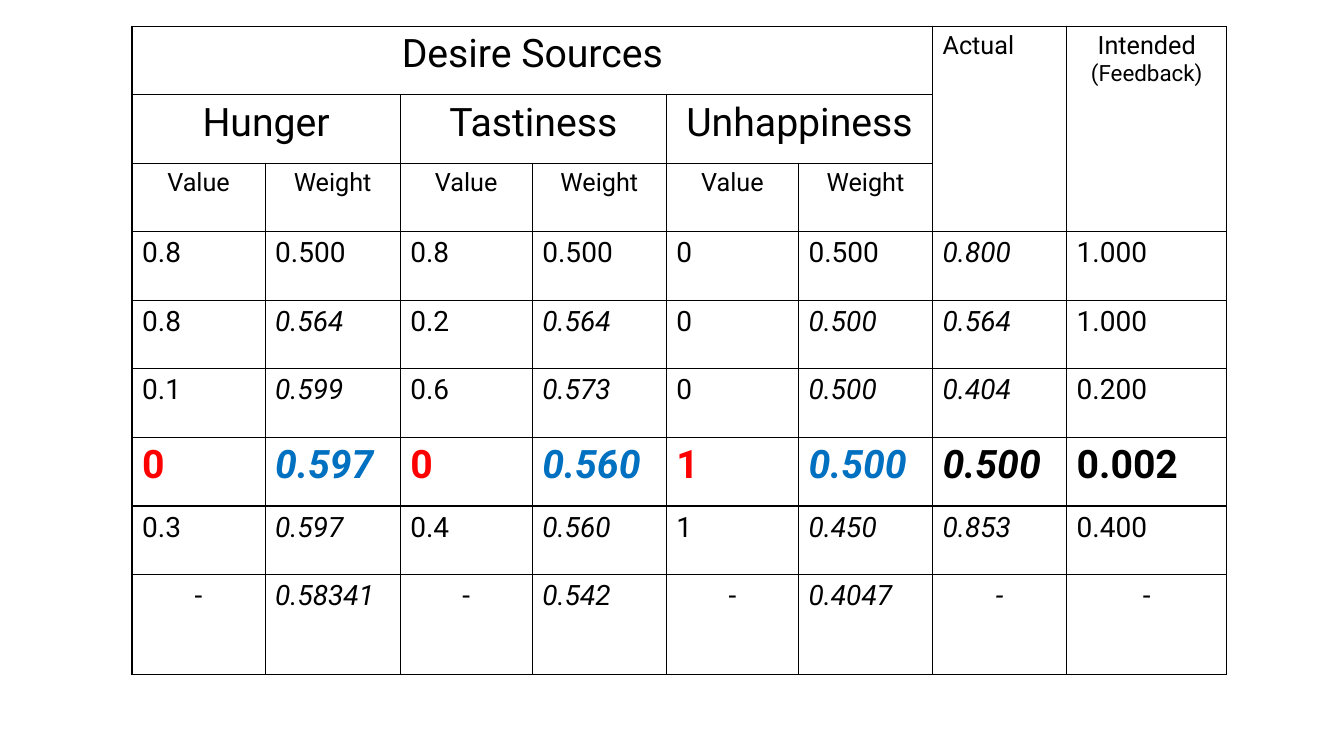
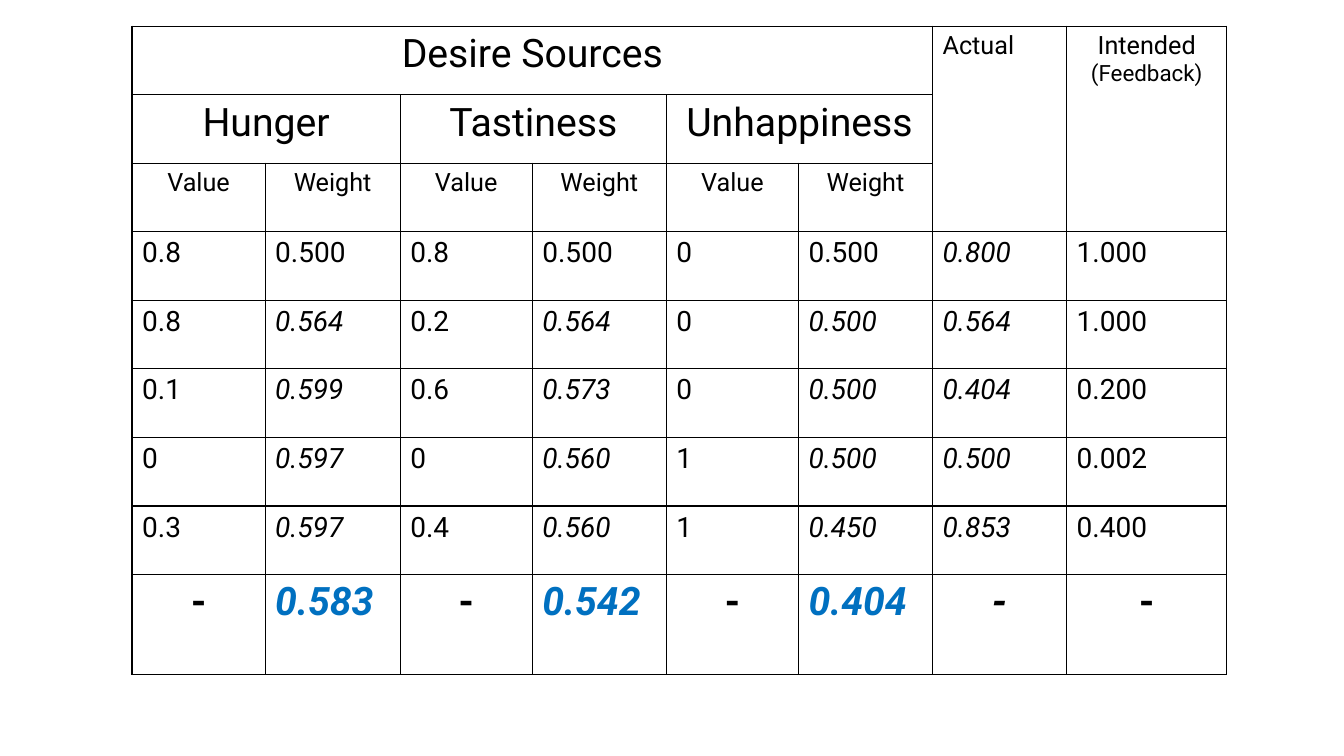
from dataclasses import dataclass

from lxml.etree import SubElement
from pptx import Presentation
from pptx.dml.color import RGBColor
from pptx.enum.text import PP_ALIGN
from pptx.oxml.ns import qn
from pptx.util import Inches, Pt


@dataclass(frozen=True)
class Theme:
    font: str = "Roboto"
    ink: str = "000000"
    value_accent: str = "FF0000"
    weight_accent: str = "0070C0"
    heading: int = 28
    label: int = 18
    small_label: int = 16
    body: int = 20
    emphasis: int = 28
    border: int = 1


THEME = Theme()

SLIDE_SIZE = (13.33, 7.5)
TABLE_ORIGIN = (1.31, 0.26)
COLUMN_WIDTHS = (1.32, 1.34, 1.31, 1.33, 1.31, 1.33, 1.33, 1.59)
ROW_HEIGHTS = (0.68,) * 8 + (0.99,)

SOURCES = ("Hunger", "Tastiness", "Unhappiness")
SOURCE_COLUMNS = 2 * len(SOURCES)
ACTUAL, INTENDED = SOURCE_COLUMNS, SOURCE_COLUMNS + 1
HEADER_ROWS = 3

STEPS = (
    ("0.8", "0.500", "0.8", "0.500", "0", "0.500", "0.800", "1.000"),
    ("0.8", "0.564", "0.2", "0.564", "0", "0.500", "0.564", "1.000"),
    ("0.1", "0.599", "0.6", "0.573", "0", "0.500", "0.404", "0.200"),
    ("0", "0.597", "0", "0.560", "1", "0.500", "0.500", "0.002"),
    ("0.3", "0.597", "0.4", "0.560", "1", "0.450", "0.853", "0.400"),
)
CONFLICT_STEP = 3
FINAL_STEP = len(STEPS)


def final_step(*weights):
    """Return the closing row, where only the weights are known."""
    cells = ["-"] * len(COLUMN_WIDTHS)
    cells[1:SOURCE_COLUMNS:2] = weights
    return tuple(cells)


def write_cell(cell, text, size, centred=False, bold=False, italic=False, color=THEME.ink):
    cell.text_frame.text = text
    for paragraph in cell.text_frame.paragraphs:
        paragraph.alignment = PP_ALIGN.CENTER if centred else PP_ALIGN.LEFT
        for run in paragraph.runs:
            font = run.font
            font.name, font.size = THEME.font, Pt(size)
            font.bold, font.italic = bold, italic
            font.color.rgb = RGBColor.from_string(color)


def style_cell(cell):
    """Give a cell four solid borders and no fill."""
    properties = cell._tc.get_or_add_tcPr()
    for side in ("a:lnL", "a:lnR", "a:lnT", "a:lnB"):
        line = SubElement(properties, qn(side), w=str(Pt(THEME.border)))
        fill = SubElement(line, qn("a:solidFill"))
        SubElement(fill, qn("a:srgbClr"), val=THEME.ink)
    cell.fill.background()


def add_grid(slide):
    left, top = TABLE_ORIGIN
    frame = slide.shapes.add_table(
        len(ROW_HEIGHTS), len(COLUMN_WIDTHS), Inches(left), Inches(top),
        Inches(sum(COLUMN_WIDTHS)), Inches(sum(ROW_HEIGHTS)))
    table = frame.table
    table.first_row = table.horz_banding = False
    for column, width in zip(table.columns, COLUMN_WIDTHS):
        column.width = Inches(width)
    for row, height in zip(table.rows, ROW_HEIGHTS):
        row.height = Inches(height)
    for cell in table.iter_cells():
        style_cell(cell)
    return table


def write_header(table):
    def merged(first, last):
        table.cell(*first).merge(table.cell(*last))
        return table.cell(*first)

    write_cell(merged((0, 0), (0, SOURCE_COLUMNS - 1)), "Desire Sources",
               THEME.heading, centred=True)
    for index, source in enumerate(SOURCES):
        column = 2 * index
        write_cell(merged((1, column), (1, column + 1)), source, THEME.heading, centred=True)
        for offset, label in enumerate(("Value", "Weight")):
            write_cell(table.cell(2, column + offset), label, THEME.label, centred=True)

    last_header = HEADER_ROWS - 1
    write_cell(merged((0, ACTUAL), (last_header, ACTUAL)), "Actual", THEME.label)
    intended = merged((0, INTENDED), (last_header, INTENDED))
    write_cell(intended, "Intended\n(Feedback)", THEME.label, centred=True)
    intended.text_frame.paragraphs[1].runs[0].font.size = Pt(THEME.small_label)


def accent_color(column, text):
    if column >= SOURCE_COLUMNS or text == "-":
        return THEME.ink
    return THEME.weight_accent if column % 2 else THEME.value_accent


def write_step(table, step, texts, emphasised):
    for column, text in enumerate(texts):
        is_weight = column < SOURCE_COLUMNS and column % 2 == 1
        # Computed results are italic; the starting weights are given.
        computed = column == ACTUAL or (is_weight and step > 0)
        write_cell(
            table.cell(HEADER_ROWS + step, column), text,
            THEME.emphasis if emphasised else THEME.body,
            centred=text == "-", bold=emphasised, italic=computed,
            color=accent_color(column, text) if emphasised else THEME.ink)


def add_learning_slide(presentation, last_step, emphasised_step):
    slide = presentation.slides.add_slide(presentation.slide_layouts[6])
    table = add_grid(slide)
    write_header(table)
    for step, texts in enumerate((*STEPS, last_step)):
        write_step(table, step, texts, step == emphasised_step)


def main():
    presentation = Presentation()
    presentation.slide_width, presentation.slide_height = map(Inches, SLIDE_SIZE)
    add_learning_slide(presentation, final_step("0.58341", "0.542", "0.4047"), CONFLICT_STEP)
    add_learning_slide(presentation, final_step("0.583", "0.542", "0.404"), FINAL_STEP)
    presentation.save("out.pptx")


if __name__ == "__main__":
    main()
